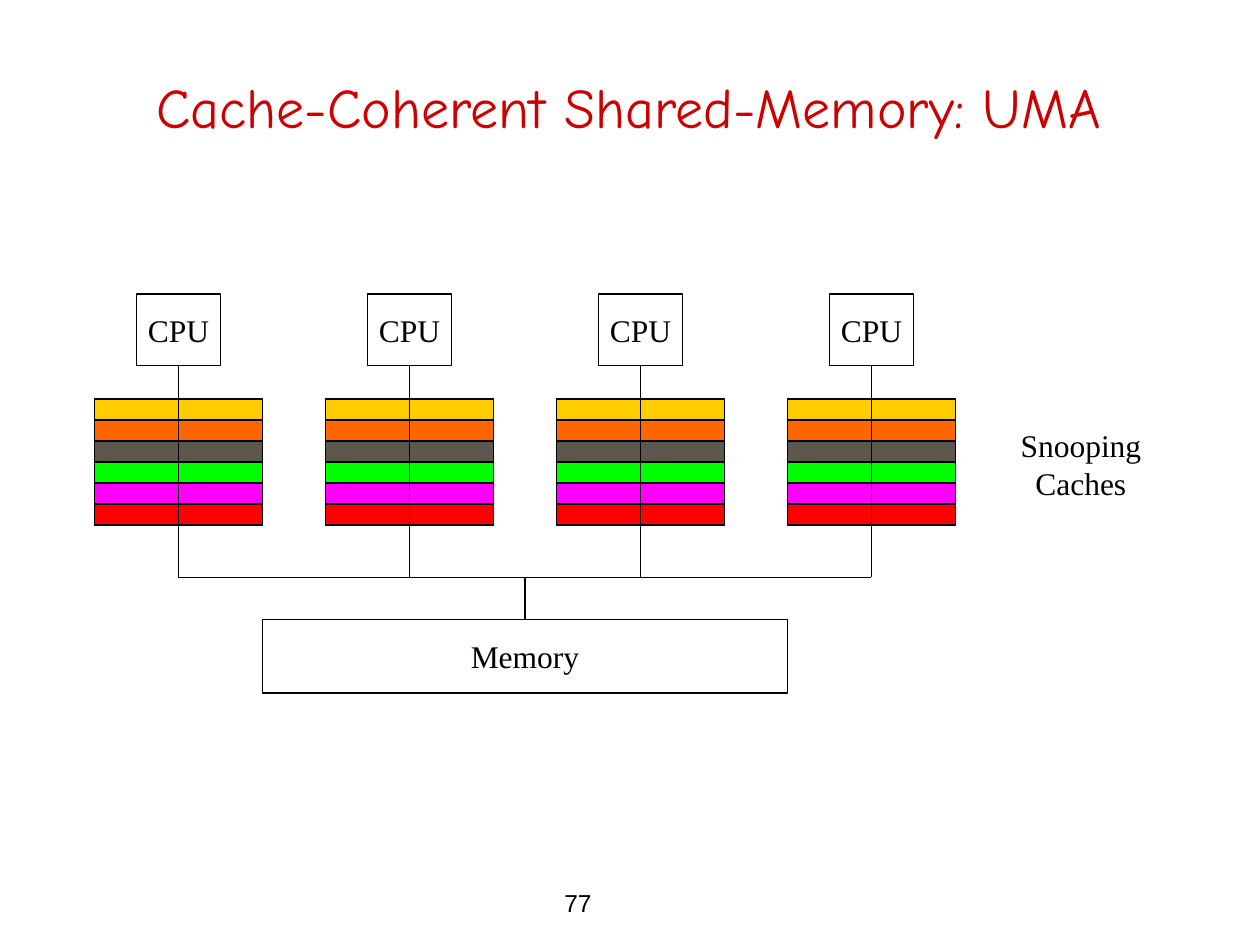
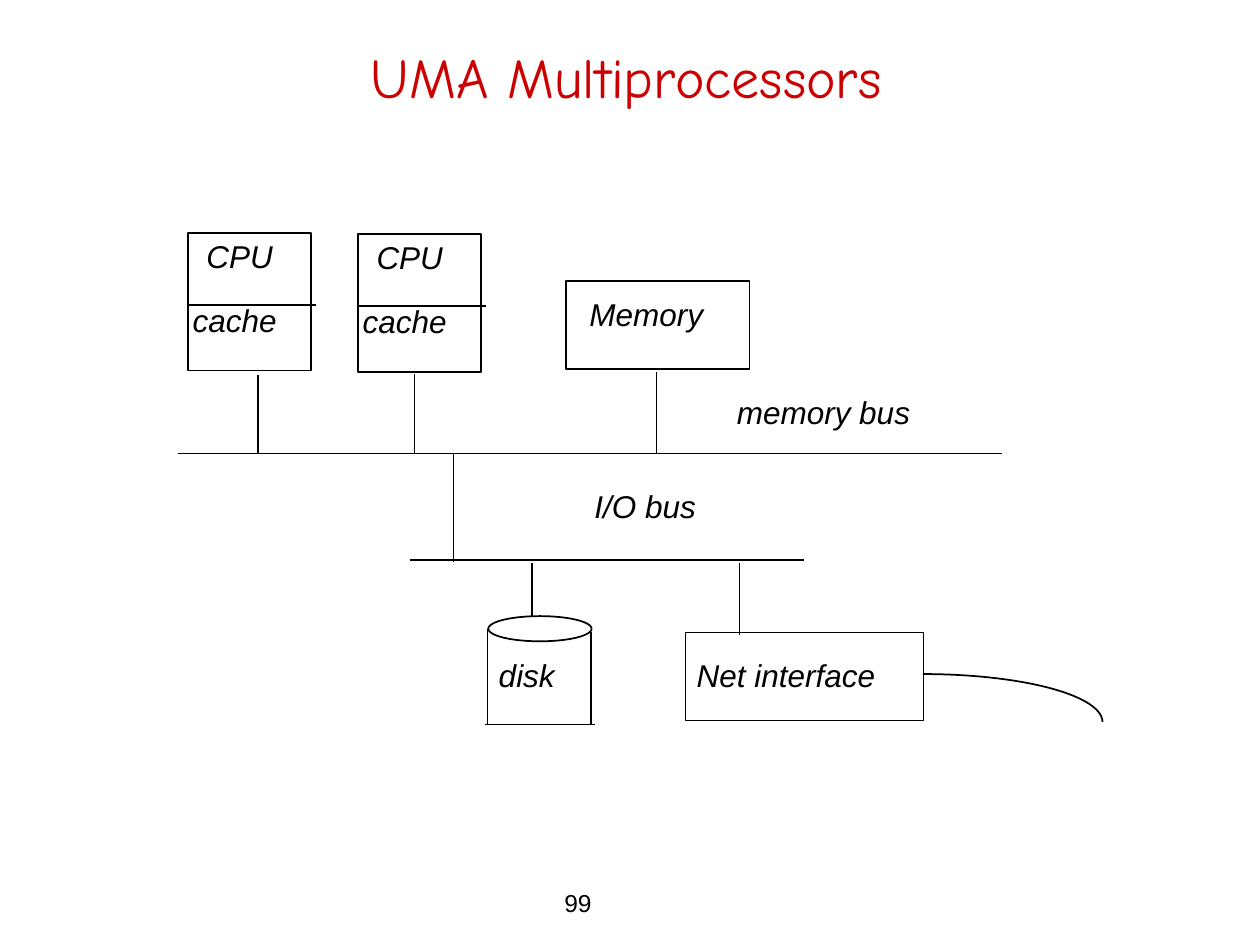
"""Two slides on cache-coherent shared-memory multiprocessors."""
from dataclasses import dataclass
from typing import Optional

from lxml import etree
from pptx import Presentation
from pptx import util as u
from pptx.dml.color import RGBColor
from pptx.enum import shapes, text
from pptx.oxml import ns

WIDTH, HEIGHT = u.Inches(10), u.Inches(7.5)
COLORS = {
    "title": "CC0000", "ink": "000000", "paper": "FFFFFF",
    "gold": "FFCC00", "orange": "FF6600", "grey": "5E574E",
    "green": "00FF00", "magenta": "FF00FF", "red": "FF0000",
}
CACHE_LINES = ("gold", "orange", "grey", "green", "magenta", "red")
Area = tuple[float, float, float, float]


@dataclass(frozen=True)
class Grid:
    """Division of the slide into equal columns and rows."""
    columns: int
    rows: int

    def x(self, columns: float) -> int:
        """Width of a number of columns."""
        return round(WIDTH * columns / self.columns)

    def y(self, rows: float) -> int:
        """Height of a number of rows."""
        return round(HEIGHT * rows / self.rows)

    def place(self, area: Area) -> tuple[int, int, int, int]:
        """Left, top, width and height of an area given in cells."""
        left, top, width, height = area
        return self.x(left), self.y(top), self.x(width), self.y(height)


@dataclass(frozen=True)
class Style:
    """Appearance of a text."""
    font: str
    size: int
    color: str = "ink"
    italic: bool = False
    align: text.PP_ALIGN = text.PP_ALIGN.LEFT
    anchor: text.MSO_ANCHOR = text.MSO_ANCHOR.TOP
    wrap: bool = False


@dataclass(frozen=True)
class Node:
    """Preset shape, possibly filled and labelled."""
    area: Area
    fill: Optional[str] = None
    label: str = ""
    kind: shapes.MSO_SHAPE = shapes.MSO_SHAPE.RECTANGLE


@dataclass(frozen=True)
class Label:
    """Free-standing text, one paragraph per line."""
    area: Area
    words: str


@dataclass(frozen=True)
class Wire:
    """Straight line between two grid points."""
    x1: float
    y1: float
    x2: float
    y2: float


COARSE, FINE = Grid(120, 90), Grid(1000, 750)
TITLE = Style("Comic Neue", 32, "title", align=text.PP_ALIGN.CENTER,
              anchor=text.MSO_ANCHOR.BOTTOM, wrap=True)
NUMBER = Style("Arial", 14)
SERIF = Style("Times New Roman", 18, align=text.PP_ALIGN.CENTER,
              anchor=text.MSO_ANCHOR.MIDDLE)
ITALIC = Style("Arial", 18, italic=True)


def color(name: str) -> RGBColor:
    """Look up a named colour."""
    return RGBColor.from_string(COLORS[name])


def write(box, words: str, style: Style) -> None:
    """Put styled text into a shape or text box."""
    frame = box.text_frame
    frame.word_wrap = style.wrap
    frame.vertical_anchor = style.anchor
    for index, line in enumerate(words.split("\n")):
        para = frame.add_paragraph() if index else frame.paragraphs[0]
        para.alignment = style.align
        span = para.add_run()
        span.text = line
        span.font.name = style.font
        span.font.size = u.Pt(style.size)
        span.font.italic = style.italic
        span.font.color.rgb = color(style.color)


def draw_label(page, grid: Grid, label: Label, style: Style) -> None:
    """Add a text box."""
    box = page.shapes.add_textbox(*grid.place(label.area))
    write(box, label.words, style)
    if not style.wrap:
        box.text_frame.auto_size = text.MSO_AUTO_SIZE.SHAPE_TO_FIT_TEXT


def draw_node(page, grid: Grid, node: Node, style: Style, weight: float) -> None:
    """Add an outlined shape."""
    box = page.shapes.add_shape(node.kind, *grid.place(node.area))
    box.shadow.inherit = False
    if node.fill:
        box.fill.solid()
        box.fill.fore_color.rgb = color(node.fill)
    else:
        box.fill.background()
    box.line.color.rgb = color("ink")
    box.line.width = u.Pt(weight)
    if node.label:
        write(box, node.label, style)


def draw_wire(page, grid: Grid, wire: Wire, weight: float) -> None:
    """Add a straight line without shadow."""
    line = page.shapes.add_connector(
        shapes.MSO_CONNECTOR.STRAIGHT, grid.x(wire.x1), grid.y(wire.y1),
        grid.x(wire.x2), grid.y(wire.y2))
    line.line.color.rgb = color("ink")
    line.line.width = u.Pt(weight)
    etree.SubElement(line._element.spPr, ns.qn("a:effectLst"))


def draw_parts(page, grid: Grid, parts: list, style: Style, weight: float) -> None:
    """Draw nodes, wires and labels from back to front."""
    for part in parts:
        if isinstance(part, Node):
            draw_node(page, grid, part, style, weight)
        elif isinstance(part, Wire):
            draw_wire(page, grid, part, weight)
        else:
            draw_label(page, grid, part, style)


def add_page(deck, title: Label, number: str):
    """Add a blank slide with its title and page number."""
    page = deck.slides.add_slide(deck.slide_layouts[6])
    draw_label(page, FINE, Label((438, 700, 109, 34), number), NUMBER)
    draw_label(page, FINE, title, TITLE)
    return page


def snooping_processor(left: float) -> list:
    """CPU above its striped cache, wired down to the bus."""
    middle = left + 8
    stripes = [Node((left, 38 + 2 * row, 16, 2), fill)
               for row, fill in enumerate(CACHE_LINES)]
    return [Node((left + 4, 28, 8, 6.8), label="CPU"), *stripes,
            Wire(middle, 34.8, middle, 55)]


def cached_processor(left: float, top: float) -> list:
    """CPU and cache sharing one divided box."""
    return [Node((left, top, 98, 109), "paper"),
            Label((left + 5, top - 2, 87, 40), "CPU"),
            Label((left - 6, top + 49, 122, 40), "cache"),
            Wire(left, top + 57, left + 101.5, top + 57)]


def build_coherent(deck) -> None:
    """Four processors with snooping caches on one memory."""
    page = add_page(deck, Label((58, 17, 883, 99),
                                "Cache-Coherent Shared-Memory: UMA"), "77")
    parts = [part for index in range(4)
             for part in snooping_processor(9 + 22 * index)]
    parts += [Wire(17, 55, 83, 55), Wire(50, 55, 50, 59),
              Node((25, 59, 50, 7), label="Memory"),
              Label((96, 40, 13.9, 8.4), "Snooping\nCaches")]
    draw_parts(page, COARSE, parts, SERIF, 0.75)


def build_multiprocessor(deck) -> None:
    """Memory bus and I/O bus with their devices."""
    page = add_page(deck, Label((44, 17, 906, 75), "UMA Multiprocessors"), "99")
    memory_bus, io_bus = 360, 444.5
    parts = [
        *cached_processor(149, 185), *cached_processor(284, 186),
        Node((449, 223, 146, 70), "paper"),
        Label((458, 229, 120, 40), "Memory"),
        Wire(141, memory_bus, 795, memory_bus),
        Wire(205, 298, 205, memory_bus),
        Wire(329, 297, 329, memory_bus),
        Wire(521, 295, 521, memory_bus),
        Label((575, 307, 170, 40), "memory bus"),
        Wire(325, io_bus, 638, io_bus),
        Wire(360, memory_bus, 360, io_bus + 1.5),
        Label((462, 382, 110, 40), "I/O bus"),
        Node((387.5, 489, 82, 20), "paper", kind=shapes.MSO_SHAPE.OVAL),
        Wire(422, 447, 422, 490),
        Wire(387, 499, 387, 575),
        Wire(385, 575, 472, 575),
        Wire(469, 502, 469, 575),
        Label((386, 516, 75, 40), "disk"),
        Node((544, 502, 189, 70), "paper"),
        Wire(587, 447, 587, 504),
        Label((543, 516, 175, 40), "Net interface"),
        Node((590, 535, 285, 76), kind=shapes.MSO_SHAPE.ARC),
    ]
    draw_parts(page, FINE, parts, ITALIC, 1)


def main() -> None:
    """Build and save the deck."""
    deck = Presentation()
    deck.slide_width, deck.slide_height = WIDTH, HEIGHT
    build_coherent(deck)
    build_multiprocessor(deck)
    deck.save("out.pptx")


if __name__ == "__main__":
    main()
